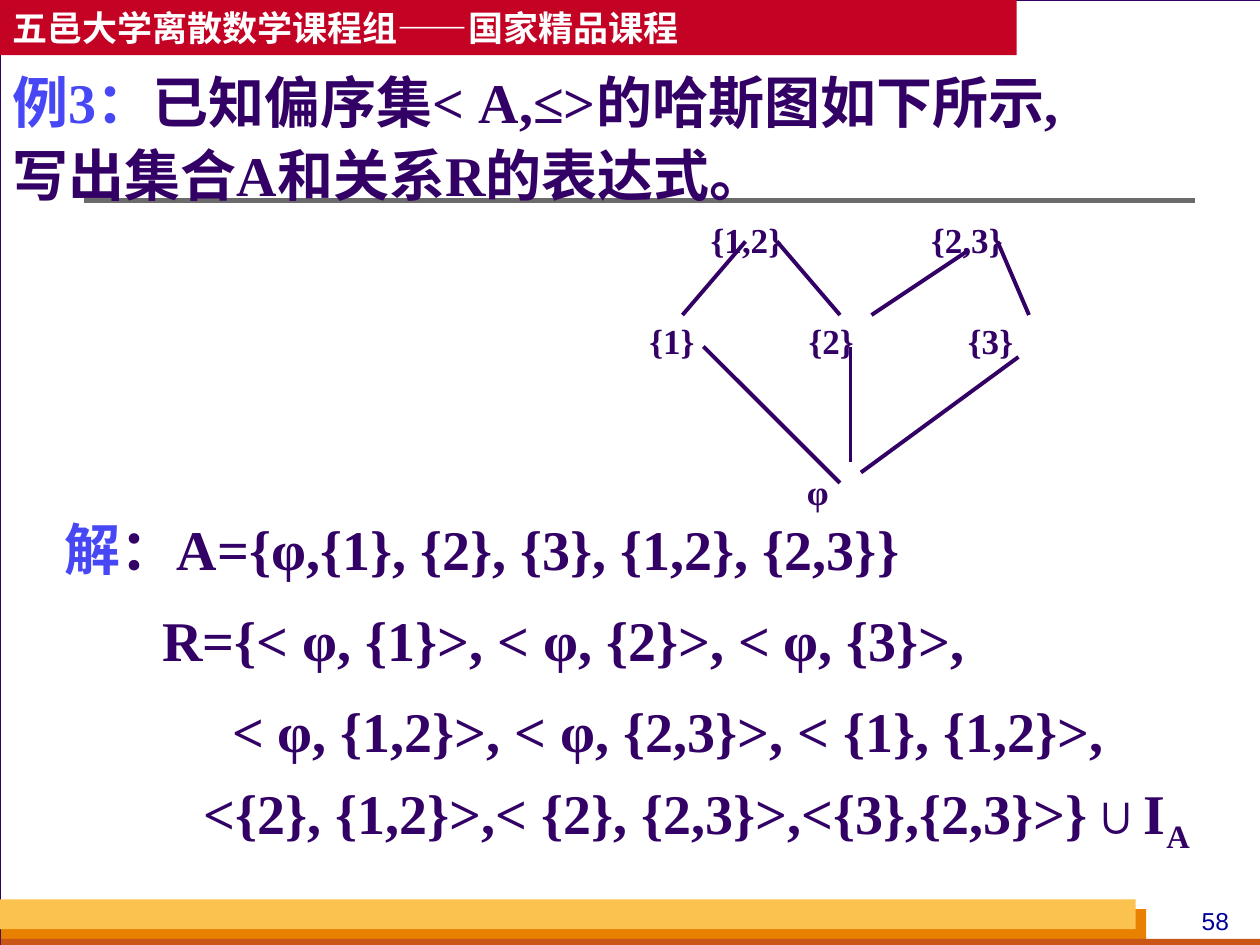
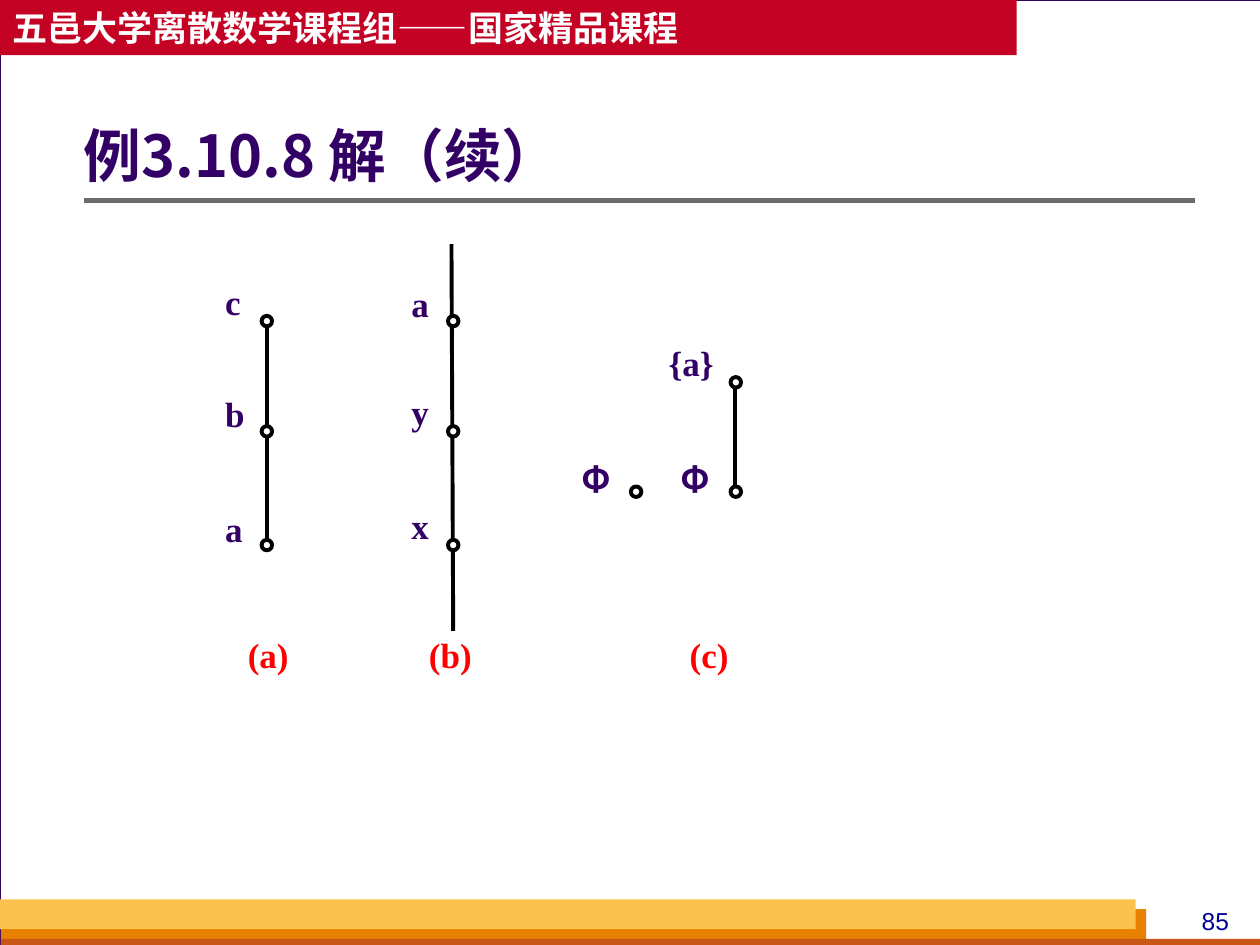
from lxml import etree
from pptx import Presentation
from pptx.dml.color import RGBColor
from pptx.enum.shapes import MSO_CONNECTOR, MSO_SHAPE
from pptx.enum.text import MSO_ANCHOR, PP_ALIGN
from pptx.oxml.ns import qn
from pptx.util import Pt

RECTANGLE, OVAL = MSO_SHAPE.RECTANGLE, MSO_SHAPE.OVAL
STRAIGHT = MSO_CONNECTOR.STRAIGHT
MIDDLE, CENTER = MSO_ANCHOR.MIDDLE, PP_ALIGN.CENTER
color = RGBColor.from_string

PURPLE, BLUE, RED = "330066", "4747F5", "FF0000"
WHITE, BLACK, GRAY = "FFFFFF", "000000", "6B6B6B"
SERIF, SANS = "Times New Roman", "Noto Sans CJK SC"

HEADER = {"size": Pt(20), "name": SANS, "bold": True}
TITLE = {"size": Pt(33), "name": SANS, "bold": True}
BODY = {"size": Pt(32), "name": SERIF, "bold": True}
LABEL = {"size": Pt(20), "name": SERIF, "bold": True}
SYMBOL = {"size": Pt(20), "name": SANS, "bold": True}
NUMBER = {"size": Pt(14), "name": "Arial", "bold": False}


def add_text(slide, box, paragraphs, font_format, frame_format={}, paragraph_format={}):
    """Add a text box; each paragraph is (indent, [(text, colour), ...])."""
    frame = slide.shapes.add_textbox(*map(Pt, box)).text_frame
    for name, value in {"word_wrap": True, **frame_format}.items():
        setattr(frame, name, value)
    for index, (indent, runs) in enumerate(paragraphs):
        paragraph = frame.add_paragraph() if index else frame.paragraphs[0]
        for name, value in paragraph_format.items():
            setattr(paragraph, name, value)
        if indent:
            paragraph._p.get_or_add_pPr().set("marL", str(Pt(indent)))
        for text, run_color in runs:
            run = paragraph.add_run()
            run.text = text
            run.font.color.rgb = color(run_color)
            for name, value in font_format.items():
                setattr(run.font, name, value)
            etree.SubElement(run._r.rPr, qn("a:ea"), typeface=SANS)
    return frame


def add_line(slide, ends, line_color, width=2.25):
    line = slide.shapes.add_connector(STRAIGHT, *map(Pt, ends))
    line.line.color.rgb = color(line_color)
    line.line.width = Pt(width)
    etree.SubElement(line._element.spPr, qn("a:effectLst"))


presentation = Presentation()
presentation.slide_width, presentation.slide_height = Pt(720), Pt(540)

# Shared frame: page, header band, footer bands, number and rule
bands = [
    ((0, 0, 720.5, 540), WHITE),
    ((0, 0, 581, 31.5), "C30224"),
    ((0.5, 519.5, 654.5, 20.5), "E88000"),
    ((0.5, 536.5, 720, 5.5), "C95616"),
    ((0, 514, 649, 17), "FCC24F"),
]
slides = []
for page_number in ("58", "85"):
    slide = presentation.slides.add_slide(presentation.slide_layouts[6])
    slide.background.fill.solid()
    slide.background.fill.fore_color.rgb = color("D8DADA")
    for index, (box, fill) in enumerate(bands):
        band = slide.shapes.add_shape(RECTANGLE, *map(Pt, box))
        band.shadow.inherit = False
        band.fill.solid()
        band.fill.fore_color.rgb = color(fill)
        if index:
            band.line.fill.background()
        else:
            band.line.color.rgb = color(PURPLE)
            band.line.width = Pt(0.75)
    add_text(slide, (0, 0, 581, 31.5), [(0, [("五邑大学离散数学课程组——国家精品课程", WHITE)])],
             HEADER, {"vertical_anchor": MIDDLE})
    add_text(slide, (672, 514, 45, 24.5), [(0, [(page_number, "000099")])],
             NUMBER, {}, {"alignment": CENTER})
    add_line(slide, (48, 114.5, 683, 114.5), GRAY, 3)
    slides.append(slide)
hasse_slide, chains_slide = slides

# Slide 1: question
add_text(hasse_slide, (0, 32, 720, 84), [
    (0, [("例3：", BLUE), ("已知偏序集< A,≤>的哈斯图如下所示,", PURPLE)]),
    (0, [("写出集合A和关系R的表达式。", PURPLE)]),
], BODY, {}, {"line_spacing": Pt(41.7)})

# Slide 1: Hasse diagram
hasse_nodes = [
    ("{1,2}", 399, 121.5), ("{2,3}", 525, 121.5),
    ("{1}", 364, 179), ("{2}", 455, 179), ("{3}", 546, 179),
    ("φ", 454, 265.5),
]
for text, left, top in hasse_nodes:
    add_text(hasse_slide, (left, top, 70, 30), [(0, [(text, PURPLE)])], LABEL)
hasse_edges = [
    (480, 276, 402, 198), (486, 264, 486, 198), (492, 270, 582, 204),
    (480, 180, 444, 138), (390, 180, 426, 138),
    (588, 180, 570, 138), (498, 180, 552, 144),
]
for ends in hasse_edges:
    add_line(hasse_slide, ends, PURPLE)

# Slide 1: solution
solution = add_text(hasse_slide, (30, 277, 708, 220), [
    (0, [("解", BLUE), ("：A={φ,{1}, {2}, {3}, {1,2}, {2,3}}", PURPLE)]),
    (55.5, [("R={< φ, {1}>, < φ, {2}>, < φ, {3}>,", PURPLE)]),
    (95.5, [("< φ, {1,2}>, < φ, {2,3}>, < {1}, {1,2}>,", PURPLE)]),
    (79, [("<{2}, {1,2}>,< {2}, {2,3}>,<{3},{2,3}>}∪I", PURPLE), ("A", PURPLE)]),
], BODY, {}, {"line_spacing": Pt(52)})
solution.paragraphs[-1].runs[-1]._r.rPr.set("baseline", "-25000")

# Slide 2: title
add_text(chains_slide, (48, 54.5, 635, 73), [(0, [("例3.10.8 解（续）", PURPLE)])],
         TITLE, {"vertical_anchor": MIDDLE, "margin_left": 0}, {"line_spacing": 0.9})

# Slide 2: chains, with lines behind their nodes
chain_lines = [
    (152.5, 186, 152.5, 309.5), (258, 139.5, 259, 360.5), (420, 222, 420, 280),
]
for ends in chain_lines:
    add_line(chains_slide, ends, BLACK)

node_columns = [
    (152.5, (183.5, 246.5, 311.5)), (259, (183.5, 246.5, 311.5)),
    (363.5, (281,)), (420.5, (218.5, 281)),
]
node_size = 6
for center_x, centers_y in node_columns:
    for center_y in centers_y:
        node = chains_slide.shapes.add_shape(
            OVAL, Pt(center_x - node_size / 2), Pt(center_y - node_size / 2),
            Pt(node_size), Pt(node_size))
        node.shadow.inherit = False
        node.fill.solid()
        node.fill.fore_color.rgb = color(WHITE)
        node.line.color.rgb = color(BLACK)
        node.line.width = Pt(2.25)

# Slide 2: node labels and captions
chain_labels = [
    ("c", 121.5, 157, PURPLE, LABEL), ("b", 121.5, 220.5, PURPLE, LABEL),
    ("a", 121.5, 286.5, PURPLE, LABEL), ("a", 228, 158, PURPLE, LABEL),
    ("y", 228, 219.5, PURPLE, LABEL), ("x", 228, 285, PURPLE, LABEL),
    ("{a}", 375, 191.5, PURPLE, LABEL),
    ("Φ", 325, 258, PURPLE, SYMBOL), ("Φ", 381.5, 258, PURPLE, SYMBOL),
    ("(a)", 134.5, 358.5, RED, LABEL), ("(b)", 238, 358.5, RED, LABEL),
    ("(c)", 387, 358.5, RED, LABEL),
]
for text, left, top, text_color, font_format in chain_labels:
    add_text(chains_slide, (left, top, 60, 49), [(0, [(text, text_color)])], font_format)

presentation.save("out.pptx")
